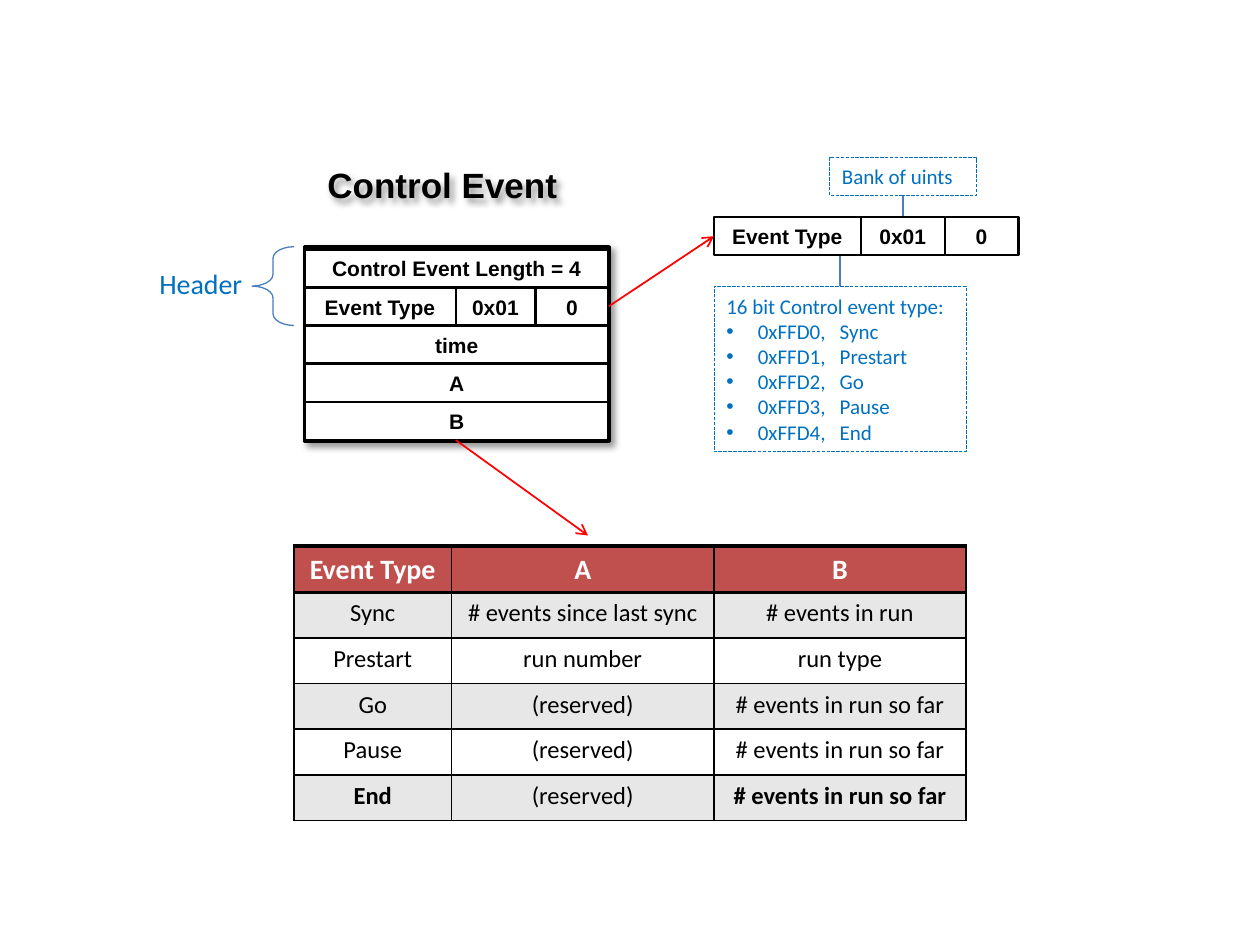
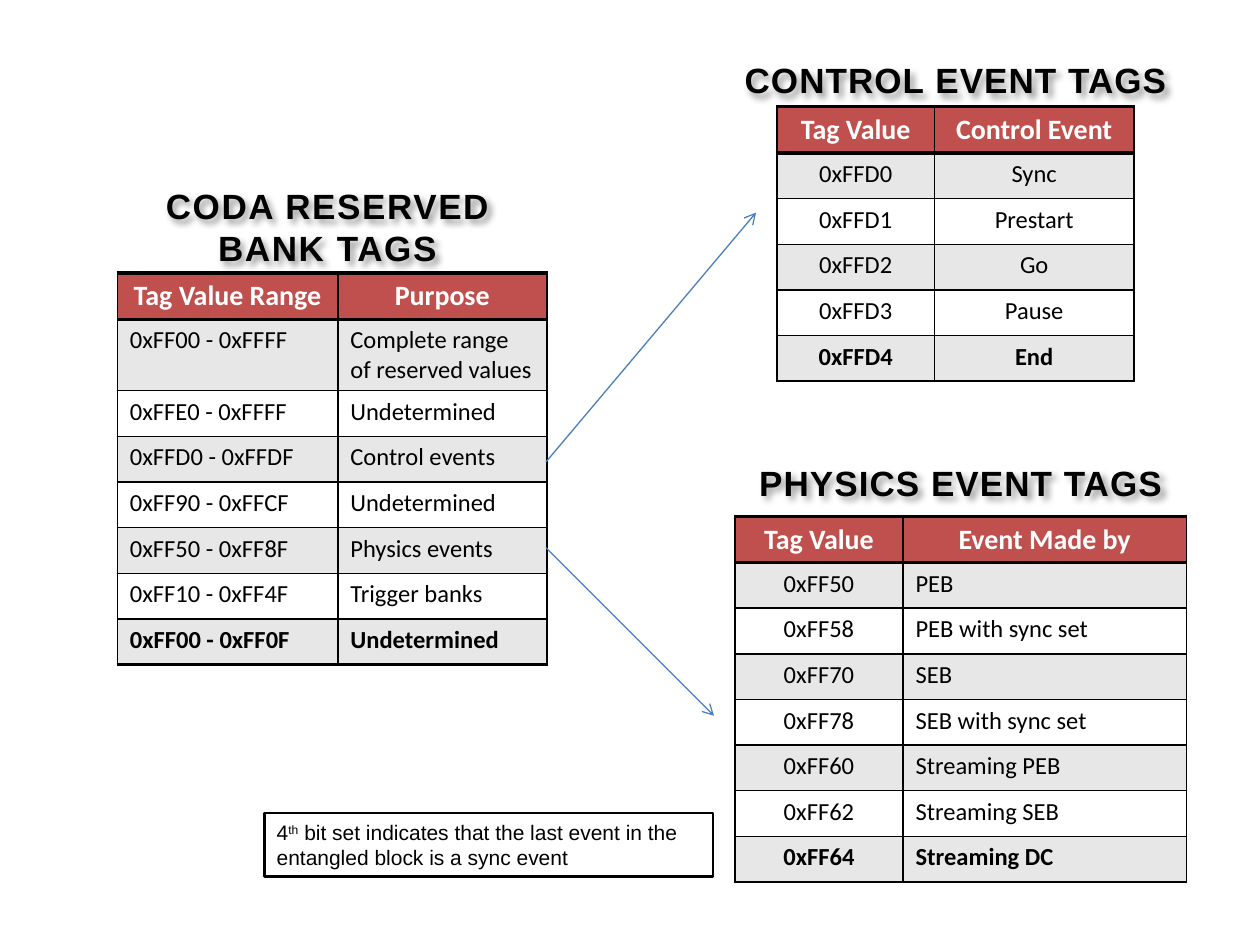
import pptx
import pptx.dml.color
import pptx.enum.dml
import pptx.enum.shapes
import pptx.enum.text
import pptx.oxml
import pptx.oxml.ns
import pptx.util

Pt = pptx.util.Pt
Shape = pptx.enum.shapes.MSO_SHAPE
Align = pptx.enum.text.PP_ALIGN
Anchor = pptx.enum.text.MSO_ANCHOR

BLACK, WHITE = "000000", "FFFFFF"
HEADER_RED, BAND_GRAY = "C0504D", "E7E7E7"
NOTE_BLUE, LINE_BLUE, ARROW_RED = "0070C0", "4B7EBC", "FF0000"
WORD_HEIGHT = 21.8
TABLE_ROW = 26.1
INSET = 7.2
CONTROL_EVENTS = ["Sync", "Prestart", "Go", "Pause", "End"]
CONTROL_TAGS = [f"0xFFD{number}" for number in range(len(CONTROL_EVENTS))]


def color(hex_code):
    return pptx.dml.color.RGBColor.from_string(hex_code)


def add_xml(parent, markup):
    """Append a drawing element, written without its namespace declaration."""
    tag, rest = markup[:markup.index(" ")], markup[markup.index(" "):]
    namespace = pptx.oxml.ns.nsdecls("a")
    parent.append(pptx.oxml.parse_xml(f"{tag} {namespace}{rest}"))


def emu(points):
    return int(Pt(points))


class Sketch:
    """The deck's style and the slide being drawn."""

    def __init__(self):
        self.deck = pptx.Presentation()
        self.deck.slide_width, self.deck.slide_height = Pt(720), Pt(540)
        self.page = None

    def new_page(self):
        self.page = self.deck.slides.add_slide(self.deck.slide_layouts[6])

    def style(self, para, size, font="Calibri", ink=BLACK, bold=False, align=Align.LEFT):
        para.alignment = align
        para.font.name, para.font.size = font, Pt(size)
        para.font.bold = bold
        para.font.color.rgb = color(ink)

    def tabs(self, para, stops, kind):
        marks = "".join(f'<a:tab pos="{emu(stop)}" algn="{kind}"/>' for stop in stops)
        add_xml(para._p.get_or_add_pPr(), f"<a:tabLst >{marks}</a:tabLst>")

    def shadow(self, shape):
        shape.shadow.inherit = False
        effects = shape._element.spPr.find(pptx.oxml.ns.qn("a:effectLst"))
        add_xml(effects, f'<a:outerShdw blurRad="{emu(4)}" dist="{emu(3)}" dir="2700000" '
                         'algn="tl" rotWithShape="0"><a:srgbClr val="000000">'
                         '<a:alpha val="40000"/></a:srgbClr></a:outerShdw>')

    def shape(self, left, top, width, height, fill=None, line=BLACK, weight=1.5,
              kind=Shape.RECTANGLE, dashed=False):
        shape = self.page.shapes.add_shape(kind, Pt(left), Pt(top), Pt(width), Pt(height))
        shape.shadow.inherit = False
        if fill:
            shape.fill.solid()
            shape.fill.fore_color.rgb = color(fill)
        else:
            shape.fill.background()
        shape.line.color.rgb = color(line)
        shape.line.width = Pt(weight)
        if dashed:
            shape.line.dash_style = pptx.enum.dml.MSO_LINE.LONG_DASH
        shape.text_frame.word_wrap = True
        return shape

    def text(self, left, top, width, height, lines, size, **style):
        box = self.page.shapes.add_textbox(Pt(left), Pt(top), Pt(width), Pt(height))
        box.text_frame.word_wrap = True
        box.text_frame.text = "\n".join(lines)
        for para in box.text_frame.paragraphs:
            self.style(para, size, **style)
        return box

    def title(self, left, top, width, height, *lines, align=Align.CENTER, spacing=0):
        """Add a shadowed heading; spacing widens its letters, in points."""
        box = self.text(left, top, width, height, lines, 20,
                        font="Arial", bold=True, align=align)
        self.shadow(box)
        if spacing:
            for para in box.text_frame.paragraphs:
                para.runs[0]._r.get_or_add_rPr().set("spc", str(int(spacing * 100)))

    def word(self, left, top, width, label):
        """Add one 32-bit word that holds a single field."""
        shape = self.shape(left, top, width, WORD_HEIGHT)
        para = shape.text_frame.paragraphs[0]
        para.text = label
        self.style(para, 12, "Arial", bold=True, align=Align.CENTER)

    def split_word(self, left, top, widths, labels, fill=None):
        """Add one word divided into fields, each label centred in its field."""
        shape = self.shape(left, top, sum(widths), WORD_HEIGHT, fill)
        edges = [sum(widths[:count]) for count in range(len(widths))]
        para = shape.text_frame.paragraphs[0]
        para.text = "".join("\t" + label for label in labels)
        self.tabs(para, [edge + width / 2 - INSET for edge, width in zip(edges, widths)], "ctr")
        self.style(para, 12, "Arial", bold=True)
        for edge in edges[1:]:
            self.line((left + edge, top), (left + edge, top + WORD_HEIGHT), BLACK, 1.5)

    def callout(self, left, top, width, height, heading, items=()):
        """Add a dashed note: a heading and bulleted (code, meaning) pairs."""
        box = self.shape(left, top, width, height, line=NOTE_BLUE, weight=0.25, dashed=True)
        frame = box.text_frame
        frame.text = heading
        self.style(frame.paragraphs[0], 12, ink=NOTE_BLUE)
        for code, meaning in items:
            para = frame.add_paragraph()
            para.text = f"{code},\t{meaning}"
            properties = para._p.get_or_add_pPr()
            properties.set("marL", str(emu(18)))
            properties.set("indent", str(emu(-18)))
            add_xml(properties, '<a:buFont typeface="Arial"/>')
            add_xml(properties, '<a:buChar char="•"/>')
            self.tabs(para, [64.8], "l")
            self.style(para, 12, ink=NOTE_BLUE)

    def line(self, start, end, ink=LINE_BLUE, weight=0.75, arrow=False):
        straight = pptx.enum.shapes.MSO_CONNECTOR.STRAIGHT
        line = self.page.shapes.add_connector(straight, *(Pt(value) for value in start + end))
        line.line.color.rgb = color(ink)
        line.line.width = Pt(weight)
        if arrow:
            add_xml(line.line._get_or_add_ln(), '<a:tailEnd type="arrow"/>')
        add_xml(line._element.spPr, "<a:effectLst />")

    def cell(self, cell, label, fill, top, bottom, **style):
        properties = cell._tc.get_or_add_tcPr()
        for side, weight in zip("LRTB", (1, 1, top, bottom)):
            add_xml(properties, f'<a:ln{side} w="{emu(weight)}"><a:solidFill>'
                                f'<a:srgbClr val="{BLACK}"/></a:solidFill></a:ln{side}>')
        cell.fill.solid()
        cell.fill.fore_color.rgb = color(fill)
        cell.text = label
        self.style(cell.text_frame.paragraphs[0], **style)

    def table(self, left, top, widths, rows, aligns, bottom=1):
        """Add a banded table with a red header and a bold last row."""
        last = len(rows) - 1
        frame = self.page.shapes.add_table(len(rows), len(widths), Pt(left), Pt(top),
                                           Pt(sum(widths)), Pt(TABLE_ROW * len(rows)))
        grid = frame.table
        grid.horz_banding = False
        for column, width in zip(grid.columns, widths):
            column.width = Pt(width)
        for index, labels in enumerate(rows):
            grid.rows[index].height = Pt(TABLE_ROW)
            for column, label in enumerate(labels):
                cell = grid.cell(index, column)
                if index == 0:
                    self.cell(cell, label, HEADER_RED, 2, 2, size=16, ink=WHITE,
                              bold=True, align=Align.CENTER)
                else:
                    self.cell(cell, label, BAND_GRAY if index % 2 else WHITE,
                              2 if index == 1 else 1, bottom if index == last else 1,
                              size=14, bold=index == last and label != "(reserved)",
                              align=aligns[column])


def control_event_page(sketch):
    sketch.new_page()
    left, top, width = 174, 142.5, 174
    sketch.title(180, 90, 156, 31.5, "Control Event", align=Align.LEFT)
    sketch.shadow(sketch.shape(left, 141, width, 111, WHITE, weight=2))
    for row, label in enumerate(["Control Event Length = 4", None, "time", "A", "B"]):
        if label:
            sketch.word(left, top + row * WORD_HEIGHT, width, label)
    fields = ["Event Type", "0x01", "0"]
    sketch.split_word(left, top + WORD_HEIGHT, [86.5, 45.5, 42], fields)
    sketch.text(84, 149, 66, 26.5, ["Header"], 16, ink=NOTE_BLUE)
    brace = sketch.shape(144, 141, 24, 45, line=LINE_BLUE, weight=0.75, kind=Shape.LEFT_BRACE)
    brace.adjustments[0] = 0.28

    sketch.line((480, 163.5), (480, 140))
    sketch.line((516, 111.5), (516, 135))
    sketch.callout(474, 90, 84, WORD_HEIGHT, "Bank of uints")
    sketch.callout(408, 163.5, 144, 94.5, "16 bit Control event type:",
                   zip(CONTROL_TAGS, CONTROL_EVENTS))
    sketch.split_word(408, 124, [84, 48, 42], fields, WHITE)
    sketch.line((348, 175), (408, 135), ARROW_RED, 1, arrow=True)

    first_values = ["# events since last sync", "run number"] + ["(reserved)"] * 3
    second_values = ["# events in run", "run type"] + ["# events in run so far"] * 3
    sketch.table(168, 312, [90, 150, 144],
                 [("Event Type", "A", "B"), *zip(CONTROL_EVENTS, first_values, second_values)],
                 [Align.CENTER] * 3)
    sketch.line((260.5, 251.5), (336, 306), ARROW_RED, 1, arrow=True)


def tags_page(sketch):
    sketch.new_page()
    sketch.title(85, 102, 204, 55.5, "CODA RESERVED", "BANK TAGS", spacing=0.9)
    sketch.table(67, 156, [126, 119.5], [
        ("Tag Value Range", "Purpose"),
        ("0xFF00 - 0xFFFF", "Complete range of reserved values"),
        ("0xFFE0 - 0xFFFF", "Undetermined"),
        ("0xFFD0 - 0xFFDF", "Control events"),
        ("0xFF90 - 0xFFCF", "Undetermined"),
        ("0xFF50 - 0xFF8F", "Physics events"),
        ("0xFF10 - 0xFF4F", "Trigger banks"),
        ("0xFF00 - 0xFF0F", "Undetermined"),
    ], [Align.LEFT] * 2, bottom=2)

    sketch.title(408, 30, 276, 31.5, "CONTROL EVENT TAGS", spacing=0.6)
    sketch.table(444, 61, [90, 114],
                 [("Tag Value", "Control Event"), *zip(CONTROL_TAGS, CONTROL_EVENTS)],
                 [Align.CENTER] * 2)

    sketch.title(408, 260, 282, 31.5, "PHYSICS EVENT TAGS", spacing=0.6)
    sketch.table(420, 295, [96, 162], [
        ("Tag Value", "Event Made by"),
        ("0xFF50", "PEB"),
        ("0xFF58", "PEB with sync set"),
        ("0xFF70", "SEB"),
        ("0xFF78", "SEB with sync set"),
        ("0xFF60", "Streaming PEB"),
        ("0xFF62", "Streaming SEB"),
        ("0xFF64", "Streaming DC"),
    ], [Align.CENTER, Align.LEFT])
    sketch.line((312, 264), (432, 121.5), arrow=True)
    sketch.line((312, 313), (408, 409), arrow=True)

    note = sketch.shape(151, 464.5, 256.5, 36.5, WHITE)
    para = note.text_frame.paragraphs[0]
    for words in ("4", "th", " bit set indicates that the last event in the "
                  "entangled block is a sync event"):
        span = para.add_run()
        span.text = words
        if words == "th":
            span._r.get_or_add_rPr().set("baseline", "30000")
    sketch.style(para, 12, "Arial")


def main():
    sketch = Sketch()
    control_event_page(sketch)
    tags_page(sketch)
    sketch.deck.save("out.pptx")


if __name__ == "__main__":
    main()
